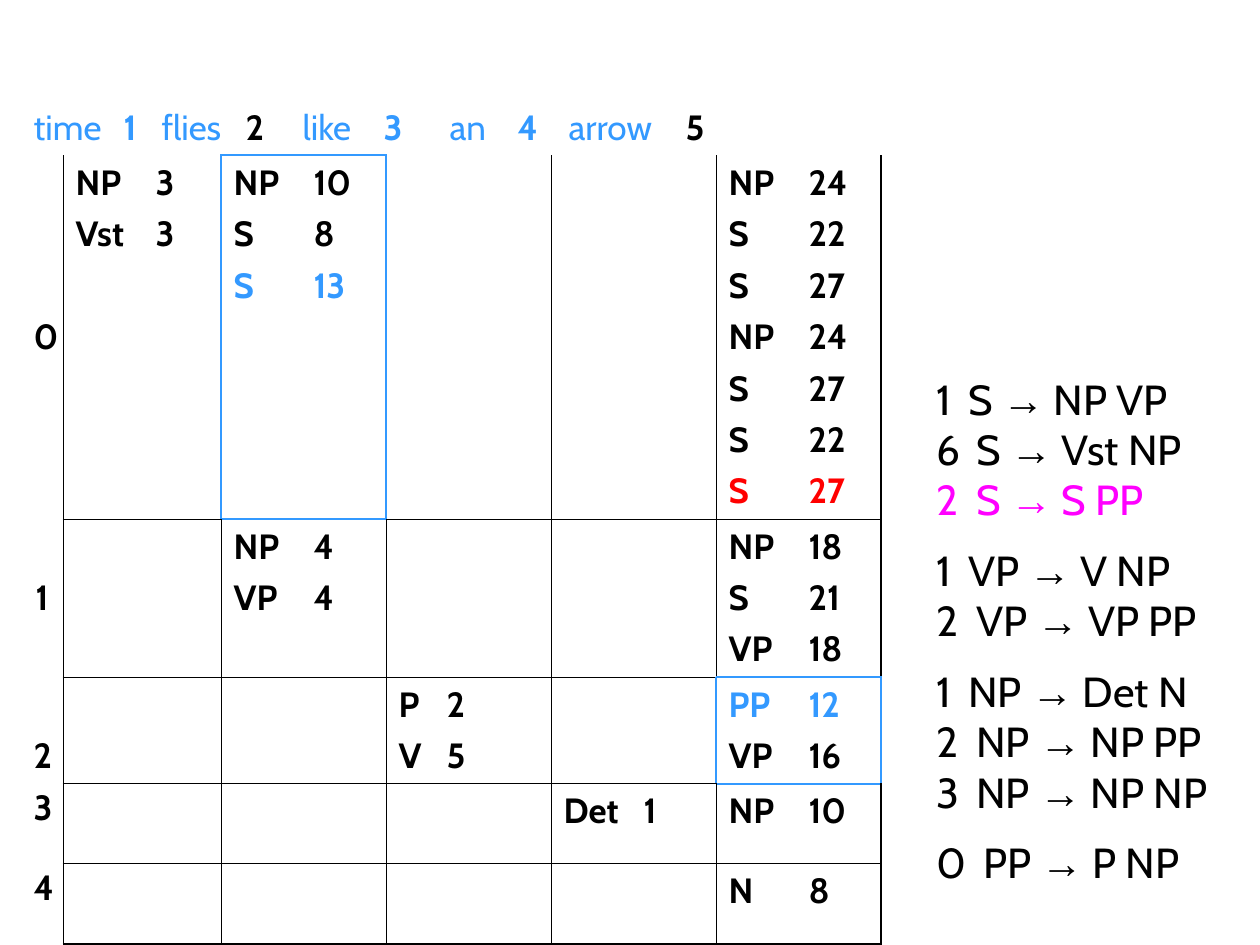
from lxml import etree
from pptx import Presentation
from pptx import util as u
from pptx.dml.color import RGBColor
from pptx.enum import text
from pptx.oxml.ns import qn

BLACK, BLUE, RED, MAGENTA = "000000", "3399FF", "FF0000", "FF00FF"
NO_STYLE = "{2D5ABB26-0587-4C30-8999-92F81FD0307C}"

COLUMN_WIDTHS = [42, 158, 165, 165, 165, 165]
ROW_HEIGHTS = [55, 359, 157, 105, 80, 80]
SENTENCE = ["time", "1", "flies", "2", "like", "3", "an", "4", "arrow", "5"]
SENTENCE_TABS = [90, 128, 212, 269, 350, 416, 484, 535, 652]
BLACK_POSITIONS = ("2", "5")

# (start row, end column): constituents with their weights
CHART = {
    (1, 1): ["NP\t3", "Vst\t3"],
    (1, 2): ["NP\t10", "S\t8", "S\t13"],
    (1, 5): ["NP\t24", "S\t22", "S\t27", "NP\t24", "S\t27", "S\t22", "S\t27"],
    (2, 2): ["NP\t4", "VP\t4"],
    (2, 5): ["NP\t18", "S\t21", "VP\t18"],
    (3, 3): ["P\t2", "V\t5"],
    (3, 5): ["PP\t12", "VP\t16"],
    (4, 4): ["Det\t1"],
    (4, 5): ["NP\t10"],
    (5, 5): ["N\t8"],
}
ENTRY_COLORS = {(1, 2, 2): BLUE, (1, 5, 6): RED, (3, 5, 0): BLUE}
HIGHLIGHTED = {(1, 2), (3, 5)}
LABEL_SPACING = {2: 2.2, 3: 2.2, 4: 0.9, 5: 0.9}
SIDES = {"L": (0, -1), "R": (0, 1), "T": (-1, 0), "B": (1, 0)}

GRAMMAR = [
    ("1", "S", "NP VP"), ("6", "S", "Vst NP"), ("2", "S", "S PP"),
    ("1", "VP", "V NP"), ("2", "VP", "VP PP"),
    ("1", "NP", "Det N"), ("2", "NP", "NP PP"), ("3", "NP", "NP NP"),
    ("0", "PP", "P NP"),
]
WEIGHT_WIDTHS = {"1": 32, "0": 47}


def px(length):
    return u.Emu(round(length * 914400 / 126))


def rgb(color):
    return RGBColor.from_string(color)


def write(frame, runs, first=True, size=20, tabs=(), before=0, spacing=None, align=None):
    """Add one paragraph made of (text, color, bold, font) runs."""
    paragraph = frame.paragraphs[0] if first else frame.add_paragraph()
    if tabs:
        stops = etree.SubElement(paragraph._p.get_or_add_pPr(), qn("a:tabLst"))
        for position in tabs:
            etree.SubElement(stops, qn("a:tab"), pos=str(px(position)), algn="l")
    if before and not first:
        paragraph.space_before = u.Pt(before)
    if spacing:
        paragraph.line_spacing = spacing
    if align is not None:
        paragraph.alignment = align
    for words, color, bold, font in runs:
        run = paragraph.add_run()
        run.text = words
        run.font.size = u.Pt(size)
        run.font.name = font
        run.font.bold = bold
        run.font.color.rgb = rgb(color)


def edge_style(row, column, side):
    """Color and width in points of one cell edge, or None for no line."""
    down, right = SIDES[side]
    if row == 0 or (column == 0 and side != "R"):
        return None
    if {(row, column), (row + down, column + right)} & HIGHLIGHTED:
        return BLUE, 1.08
    if row == 1 and side == "T":
        return None
    if (side == "R" and column == 5) or (side == "B" and row == 5):
        return BLACK, 1.08
    return BLACK, 0.45


def draw_edges(cell, row, column):
    cell.fill.background()
    properties = cell._tc.get_or_add_tcPr()
    for index, side in enumerate(SIDES):
        line = etree.Element(qn(f"a:ln{side}"))
        style = edge_style(row, column, side)
        if style:
            color, width = style
            line.set("w", str(u.Pt(width)))
            fill = etree.SubElement(line, qn("a:solidFill"))
            etree.SubElement(fill, qn("a:srgbClr"), val=color)
        else:
            etree.SubElement(line, qn("a:noFill"))
        properties.insert(index, line)


def add_parse_chart(slide):
    chart = slide.shapes.add_table(
        len(ROW_HEIGHTS), len(COLUMN_WIDTHS), px(21), px(100),
        px(sum(COLUMN_WIDTHS)), px(sum(ROW_HEIGHTS))).table
    chart.first_row = chart.horz_banding = False
    chart._tbl.tblPr.find(qn("a:tableStyleId")).text = NO_STYLE
    for column, width in zip(chart.columns, COLUMN_WIDTHS):
        column.width = px(width)
    for row, height in zip(chart.rows, ROW_HEIGHTS):
        row.height = px(height)
    for row in range(len(ROW_HEIGHTS)):
        for column in range(len(COLUMN_WIDTHS)):
            draw_edges(chart.cell(row, column), row, column)

    header = chart.cell(0, 0)
    header.merge(chart.cell(0, 5))
    runs = []
    for index, word in enumerate(SENTENCE):
        color = BLACK if word in BLACK_POSITIONS else BLUE
        runs.append(("\t" * (index > 0) + word, color, word.isdigit(), "Cabin"))
    write(header.text_frame, runs, tabs=SENTENCE_TABS)

    for row in range(1, len(ROW_HEIGHTS)):
        label = chart.cell(row, 0)
        if row == 1:
            label.vertical_anchor = text.MSO_ANCHOR.MIDDLE
        write(label.text_frame, [(str(row - 1), BLACK, True, "Cabin")],
              spacing=LABEL_SPACING.get(row), align=text.PP_ALIGN.CENTER)

    for (row, column), entries in CHART.items():
        frame = chart.cell(row, column).text_frame
        for index, entry in enumerate(entries):
            color = ENTRY_COLORS.get((row, column, index), BLACK)
            write(frame, [(entry, color, True, "Cabin")], first=index == 0,
                  tabs=[48 if column == 3 else 80], before=5)


def add_grammar(slide):
    frame = slide.shapes.add_textbox(px(924), px(367), px(336), px(527)).text_frame
    frame.word_wrap = True
    previous = GRAMMAR[0][1]
    for index, (weight, left, right) in enumerate(GRAMMAR):
        color = MAGENTA if right == "S PP" else BLACK
        runs = [(f"{weight}\t{left} ", color, False, "Cabin"),
                ("→", color, False, "Arial"),
                (f" {right}", color, False, "Cabin")]
        write(frame, runs, first=index == 0, size=24,
              tabs=[WEIGHT_WIDTHS.get(weight, 40)],
              spacing=1.4 if left != previous else None)
        previous = left


def main():
    deck = Presentation()
    deck.slide_width, deck.slide_height = px(1260), px(945)
    slide = deck.slides.add_slide(deck.slide_layouts[6])
    add_parse_chart(slide)
    add_grammar(slide)
    deck.save("out.pptx")


if __name__ == "__main__":
    main()
